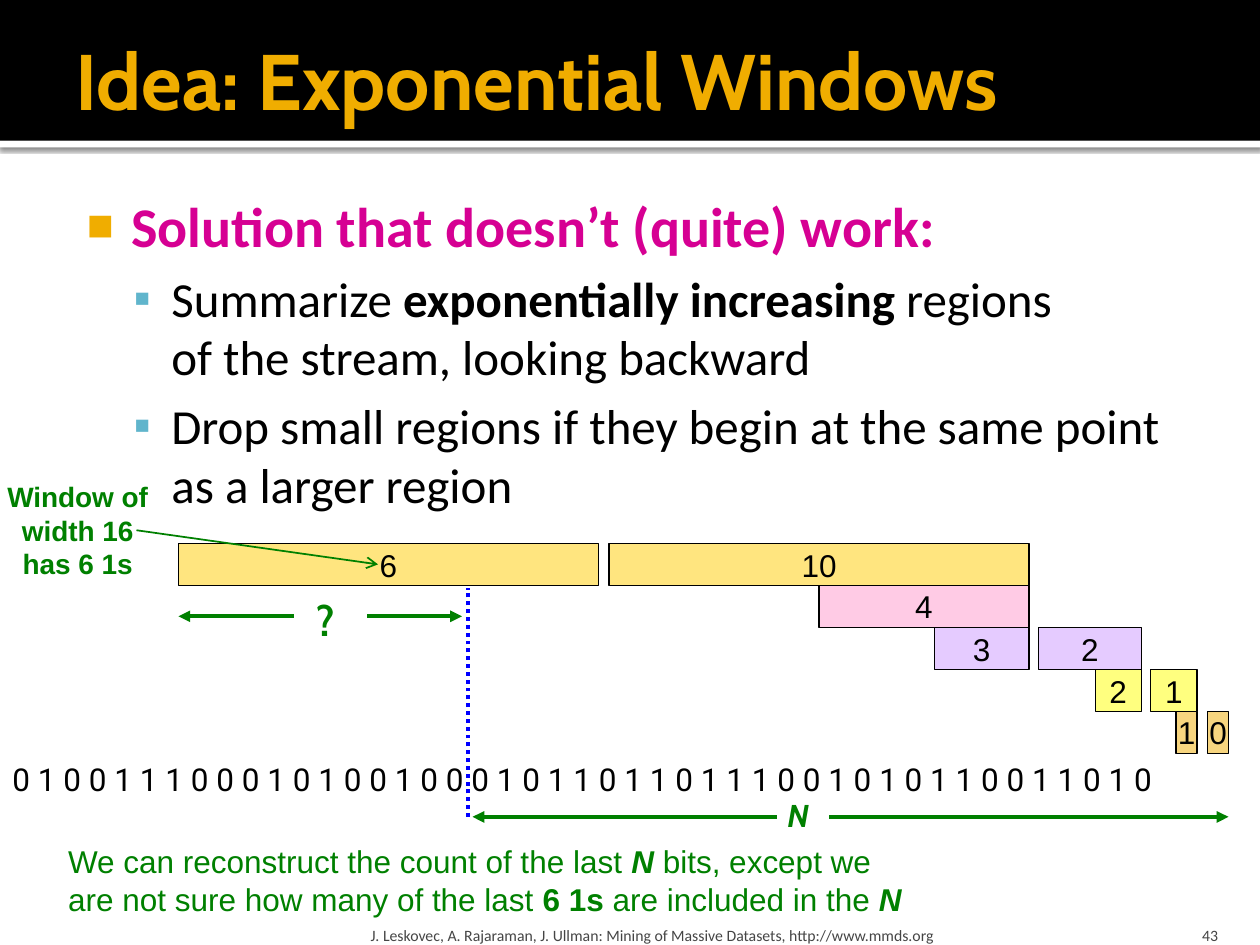
from dataclasses import dataclass
from typing import NamedTuple

from lxml.etree import SubElement
from pptx import Presentation
from pptx.dml.color import RGBColor
from pptx.enum.dml import MSO_LINE
from pptx.enum.shapes import MSO_CONNECTOR, MSO_SHAPE
from pptx.enum.text import MSO_ANCHOR, MSO_AUTO_SIZE, PP_ALIGN
from pptx.oxml.ns import qn
from pptx.util import Inches, Pt


@dataclass(frozen=True)
class Theme:
    black: str = "000000"
    white: str = "FFFFFF"
    gold: str = "F0AD00"
    teal: str = "60B5CC"
    magenta: str = "D60093"
    green: str = "008000"
    blue: str = "0000FF"
    gray: str = "454545"
    amber: str = "FFCC00"
    pink: str = "FF99CC"
    violet: str = "CC99FF"
    yellow: str = "FFFF00"
    heading: str = "Cabin"
    body: str = "Calibri"
    label: str = "Arial"
    stream: str = "Roboto"
    title_size: float = 45
    lead_size: float = 32
    point_size: float = 28
    question_size: float = 24
    label_size: float = 18
    callout_size: float = 16
    footer_size: float = 9


class Area(NamedTuple):
    col: float
    row: float
    cols: float
    rows: float


class Style(NamedTuple):
    font: str
    size: float
    color: str
    bold: bool = False
    italic: bool = False


class Span(NamedTuple):
    text: str
    bold: bool = False
    italic: bool = False


class Bucket(NamedTuple):
    ones: str
    level: int
    col: float
    cols: float
    color: str


class Arrow(NamedTuple):
    start: tuple[float, float]
    end: tuple[float, float]
    width: float = 2.25
    head: str = "triangle"


class Bullet(NamedTuple):
    mark: str
    color: str
    size_share: int
    indent: float
    hanging: float


THEME = Theme()
CELL = Inches(1) / 12
BUCKET_TOP, BUCKET_ROWS = 51.75, 4


def cells(count: float) -> int:
    return round(count * CELL)


def place(shape, area: Area) -> None:
    shape.left, shape.top, shape.width, shape.height = map(cells, area)


def style_runs(paragraph, style: Style) -> None:
    for run in paragraph.runs:
        font = run.font
        font.name, font.size = style.font, Pt(style.size)
        font.bold, font.italic = style.bold, style.italic
        font.color.rgb = RGBColor.from_string(style.color)


def write_spans(paragraph, spans: list[Span], style: Style) -> None:
    for span in spans:
        for index, line in enumerate(span.text.split("\n")):
            if index:
                paragraph.add_line_break()
            paragraph.add_run().text = line
    style_runs(paragraph, style)
    runs = iter(paragraph.runs)
    for span in spans:
        for _ in span.text.split("\n"):
            font = next(runs).font
            font.bold, font.italic = span.bold, span.italic


def set_insets(frame, left: float, top: float, right: float, bottom: float) -> None:
    frame.margin_left, frame.margin_top = Inches(left), Inches(top)
    frame.margin_right, frame.margin_bottom = Inches(right), Inches(bottom)


def add_bullet(paragraph, bullet: Bullet) -> None:
    properties = paragraph._p.get_or_add_pPr()
    properties.set("marL", str(Inches(bullet.indent)))
    properties.set("indent", str(-Inches(bullet.hanging)))
    SubElement(SubElement(properties, qn("a:buClr")), qn("a:srgbClr"), val=bullet.color)
    SubElement(properties, qn("a:buSzPct"), val=str(bullet.size_share * 1000))
    SubElement(properties, qn("a:buChar"), char=bullet.mark)


def add_label(slide, area: Area, text: str, style: Style, wrap: bool = False,
              align=PP_ALIGN.LEFT):
    box = slide.shapes.add_textbox(*map(cells, area))
    frame = box.text_frame
    frame.text = text
    frame.word_wrap = wrap
    frame.auto_size = MSO_AUTO_SIZE.SHAPE_TO_FIT_TEXT
    frame.paragraphs[0].alignment = align
    style_runs(frame.paragraphs[0], style)
    return frame


def add_footer(slide, area: Area, text: str, side_inset: float, align) -> None:
    style = Style(THEME.body, THEME.footer_size, THEME.gray)
    frame = add_label(slide, area, text, style, True, align)
    frame.auto_size = MSO_AUTO_SIZE.NONE
    frame.vertical_anchor = MSO_ANCHOR.BOTTOM
    set_insets(frame, side_inset, 0.05, side_inset, 0)


def add_block(slide, area: Area, color: str):
    block = slide.shapes.add_shape(MSO_SHAPE.RECTANGLE, *map(cells, area))
    block.shadow.inherit = False
    block.fill.solid()
    block.fill.fore_color.rgb = RGBColor.from_string(color)
    block.line.fill.background()
    return block


def add_header(slide) -> None:
    strip = add_block(slide, Area(0, 13.4, 120, 0.64), THEME.white)
    effects = strip.element.spPr.find(qn("a:effectLst"))
    shadow = SubElement(effects, qn("a:outerShdw"), blurRad=str(Pt(2.5)),
                        dist=str(Pt(0.8)), dir="5400000", algn="t", rotWithShape="0")
    tone = SubElement(shadow, qn("a:srgbClr"), val=THEME.black)
    SubElement(tone, qn("a:alpha"), val="60000")
    band = add_block(slide, Area(0, 0, 120, 13.4), THEME.black)
    for index, part in enumerate((strip, band)):
        slide.shapes.element.insert(2 + index, part.element)


def add_bucket(slide, bucket: Bucket) -> None:
    row = BUCKET_TOP + bucket.level * BUCKET_ROWS
    block = add_block(slide, Area(bucket.col, row, bucket.cols, BUCKET_ROWS), bucket.color)
    tone = block.element.spPr.find(qn("a:solidFill")).find(qn("a:srgbClr"))
    SubElement(tone, qn("a:alpha"), val="50000")
    block.line.color.rgb = RGBColor.from_string(THEME.black)
    block.line.width = Pt(0.75)
    frame = block.text_frame
    frame.text = bucket.ones
    frame.word_wrap = False
    frame.vertical_anchor = MSO_ANCHOR.MIDDLE
    frame.paragraphs[0].alignment = PP_ALIGN.CENTER
    style_runs(frame.paragraphs[0], Style(THEME.label, THEME.label_size, THEME.black))


def add_line(slide, start: tuple[float, float], end: tuple[float, float],
             color: str, width: float):
    line = slide.shapes.add_connector(MSO_CONNECTOR.STRAIGHT, *map(cells, start + end))
    line.line.color.rgb = RGBColor.from_string(color)
    line.line.width = Pt(width)
    SubElement(line.element.spPr, qn("a:effectLst"))
    return line


def add_arrow(slide, arrow: Arrow) -> None:
    line = add_line(slide, arrow.start, arrow.end, THEME.green, arrow.width)
    SubElement(line.element.spPr.find(qn("a:ln")), qn("a:tailEnd"), type=arrow.head)


def fill_title(title) -> None:
    place(title, Area(6, 1, 108, 13))
    frame = title.text_frame
    frame.text = "Idea: Exponential Windows"
    frame.auto_size = MSO_AUTO_SIZE.NONE
    frame.vertical_anchor = MSO_ANCHOR.MIDDLE
    set_insets(frame, 0.1, 0.05, 0.05, 0.05)
    frame.paragraphs[0].alignment = PP_ALIGN.LEFT
    style_runs(frame.paragraphs[0], Style(THEME.heading, THEME.title_size, THEME.gold, True))


def fill_body(body) -> None:
    place(body, Area(6, 17, 108, 69))
    frame = body.text_frame
    frame.auto_size = MSO_AUTO_SIZE.NONE
    set_insets(frame, 0.06, 0.1, 0.1, 0.05)
    lead = frame.paragraphs[0]
    add_bullet(lead, Bullet("■", THEME.gold, 80, 0.48, 0.35))
    lead.space_before = Pt(0)
    write_spans(lead, [Span("Solution that doesn’t (quite) work:", True)],
                Style(THEME.body, THEME.lead_size, THEME.magenta))
    points = [
        [Span("Summarize "), Span("exponentially increasing ", True),
         Span("regions \nof the stream, looking backward")],
        [Span("Drop small regions if they begin at the same point as a larger region")],
    ]
    for spans in points:
        point = frame.add_paragraph()
        point.level = 1
        add_bullet(point, Bullet("▪", THEME.teal, 100, 0.8, 0.3))
        point.space_before = Pt(0.2 * THEME.point_size)
        write_spans(point, spans, Style(THEME.body, THEME.point_size, THEME.black))


def main() -> None:
    deck = Presentation()
    deck.slide_width, deck.slide_height = cells(120), cells(90)
    slide = deck.slides.add_slide(deck.slide_layouts[1])
    add_header(slide)
    fill_title(slide.shapes.title)
    fill_body(slide.placeholders[1])

    add_footer(slide, Area(34.7, 86.4, 72.2, 3.6),
               "J. Leskovec, A. Rajaraman, J. Ullman: Mining of Massive Datasets, "
               "http://www.mmds.org", 0.05, PP_ALIGN.LEFT)
    add_footer(slide, Area(107.6, 86.4, 9.6, 3.6), "43", 0.1, PP_ALIGN.RIGHT)

    bits = "010011100010100100010110110111001010110011010"
    add_label(slide, Area(0, 71.8, 117.7, 4.85), " ".join(bits),
              Style(THEME.stream, THEME.label_size, THEME.black))
    add_label(slide, Area(73.8, 75.2, 4.6, 4.85), "N",
              Style(THEME.heading, THEME.label_size, THEME.green, True, True))
    add_label(slide, Area(29, 56, 4.2, 6), "?",
              Style(THEME.heading, THEME.question_size, THEME.green, True))

    for bucket in (
        Bucket("0", 4, 115, 2, THEME.gold),
        Bucket("1", 4, 112, 2, THEME.gold),
        Bucket("1", 3, 109.6, 4.4, THEME.yellow),
        Bucket("2", 3, 104.3, 4.4, THEME.yellow),
        Bucket("2", 2, 98.9, 9.8, THEME.violet),
        Bucket("3", 2, 89, 9, THEME.violet),
        Bucket("4", 1, 78, 20, THEME.pink),
        Bucket("10", 0, 58, 40, THEME.amber),
        Bucket("6", 0, 17, 40, THEME.amber),
    ):
        add_bucket(slide, bucket)

    note_style = Style(THEME.label, THEME.label_size, THEME.green)
    note = add_label(slide, Area(5.3, 79.6, 83.6, 8.5), "", note_style, True)
    write_spans(note.paragraphs[0], [
        Span("We can reconstruct the count of the last "), Span("N", True, True),
        Span(" bits, except we are not sure how many of the last "), Span("6 1s", True),
        Span(" are included in the "), Span("N", True, True),
    ], note_style)
    add_label(slide, Area(-0.6, 45.1, 16, 10.9), "Window of width 16 has 6 1s",
              Style(THEME.label, THEME.callout_size, THEME.green, True), True,
              PP_ALIGN.CENTER)

    for arrow in (
        Arrow((74, 77.8), (45, 77.8)),
        Arrow((79, 77.8), (117, 77.8)),
        Arrow((28, 58.7), (17, 58.7)),
        Arrow((35, 58.7), (44, 58.7)),
        Arrow((13, 50.5), (36, 53.75), 1, "arrow"),
    ):
        add_arrow(slide, arrow)
    cutoff = add_line(slide, (44.6, 77.8), (44.6, 56), THEME.blue, 2.25)
    cutoff.line.dash_style = MSO_LINE.ROUND_DOT

    deck.save("out.pptx")


if __name__ == "__main__":
    main()
